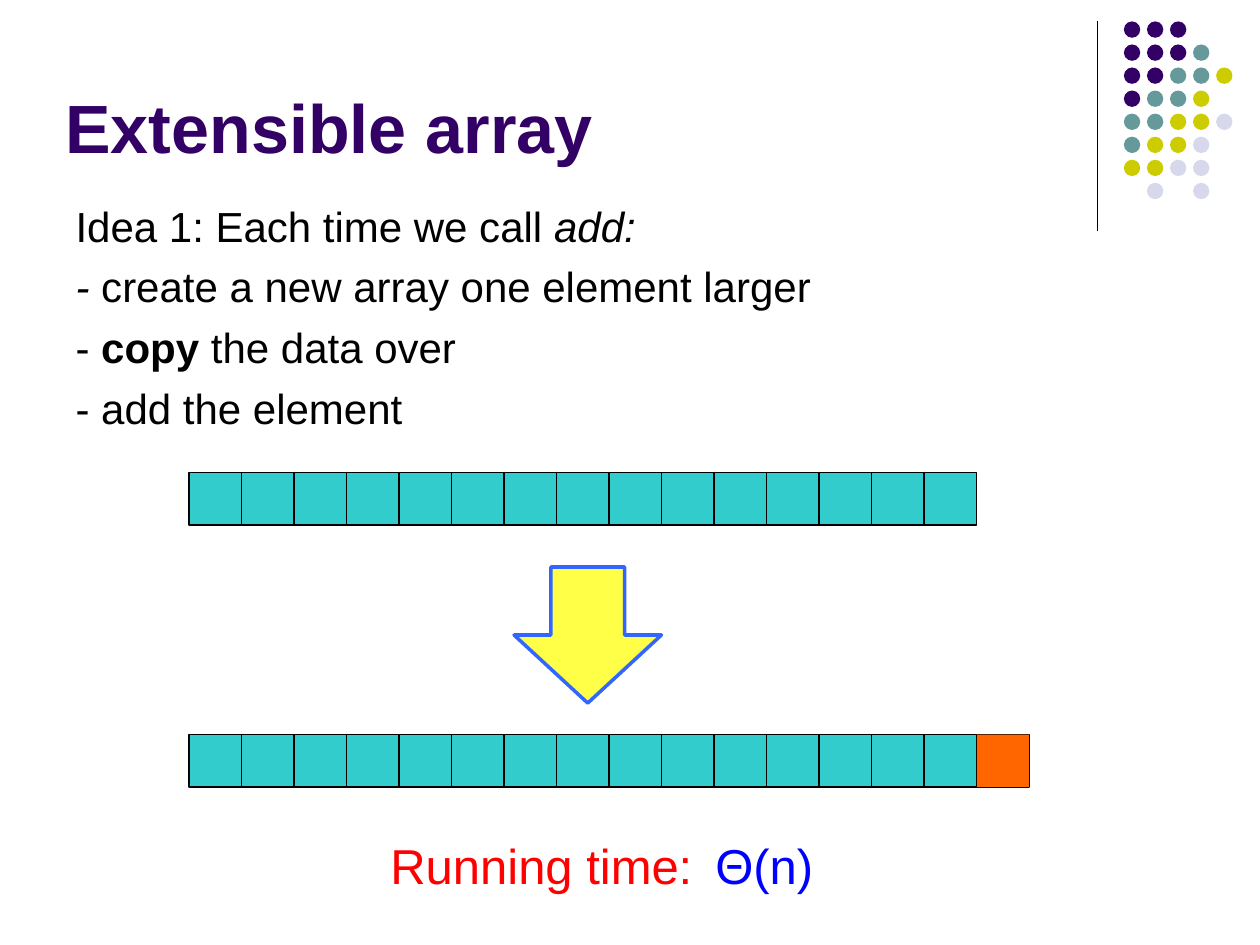
from lxml import etree
from pptx import Presentation
from pptx.dml.color import RGBColor
from pptx.enum.shapes import MSO_CONNECTOR, MSO_SHAPE
from pptx.enum.text import MSO_ANCHOR, MSO_AUTO_SIZE, PP_ALIGN
from pptx.oxml.ns import qn
from pptx.util import Inches, Pt

RECTANGLE, OVAL, DOWN_ARROW = MSO_SHAPE.RECTANGLE, MSO_SHAPE.OVAL, MSO_SHAPE.DOWN_ARROW
STRAIGHT = MSO_CONNECTOR.STRAIGHT
TOP, BOTTOM = MSO_ANCHOR.TOP, MSO_ANCHOR.BOTTOM
NO_FIT, GROW = MSO_AUTO_SIZE.NONE, MSO_AUTO_SIZE.SHAPE_TO_FIT_TEXT
LEFT = PP_ALIGN.LEFT

PURPLE, TEAL, OLIVE, LAVENDER = "330066", "669999", "CCCC00", "D8D8EC"
BLACK, CYAN, ORANGE = "000000", "33CCCC", "FF6600"
CELL = 5 / 12  # side of one array cell


def color(value):
    return RGBColor.from_string(value)


class SlideBuilder:
    font_name = "Arial"
    line_width = 0.75

    def __init__(self, slide):
        self.slide = slide

    def shape(self, kind, left, top, width, height, fill, line=None, line_width=line_width):
        shape = self.slide.shapes.add_shape(
            kind, Inches(left), Inches(top), Inches(width), Inches(height))
        shape.shadow.inherit = False
        shape.fill.solid()
        shape.fill.fore_color.rgb = color(fill)
        if line:
            shape.line.color.rgb = color(line)
            shape.line.width = Pt(line_width)
        else:
            shape.line.fill.background()

    def vertical_line(self, left, top, height):
        line = self.slide.shapes.add_connector(
            STRAIGHT, Inches(left), Inches(top), Inches(left), Inches(top + height))
        line.line.color.rgb = color(BLACK)
        line.line.width = Pt(self.line_width)
        etree.SubElement(line._element.spPr, qn("a:effectLst"))

    def array(self, left, top, cells, extra=0):
        """Draw a row of cells; the extra cells at its end are highlighted."""
        total = cells + extra
        self.shape(RECTANGLE, left, top, total * CELL, CELL, CYAN, BLACK)
        if extra:
            self.shape(RECTANGLE, left + cells * CELL, top, extra * CELL, CELL, ORANGE)
        for index in range(1, total):
            self.vertical_line(left + index * CELL, top, CELL)

    def dots(self, left, top, pitch, size, rows):
        fills = {"P": PURPLE, "T": TEAL, "O": OLIVE, "L": LAVENDER}
        for row, letters in enumerate(rows):
            for column, letter in enumerate(letters):
                if letter in fills:
                    self.shape(OVAL, left + column * pitch, top + row * pitch,
                               size, size, fills[letter])

    def place(self, shape, left, top, width, height, anchor, auto_size):
        shape.left, shape.top = Inches(left), Inches(top)
        shape.width, shape.height = Inches(width), Inches(height)
        frame = shape.text_frame
        frame.word_wrap = True
        frame.auto_size = auto_size
        frame.vertical_anchor = anchor
        return frame

    def add_runs(self, paragraph, runs, size, fill, bold=False):
        """Each run is a text and its style: "b" bold, "i" italic or ""."""
        paragraph.alignment = LEFT
        for text, style in runs:
            run = paragraph.add_run()
            run.text = text
            run.font.name = self.font_name
            run.font.size = Pt(size)
            run.font.color.rgb = color(fill)
            run.font.bold = bold or style == "b"
            run.font.italic = style == "i"

    def title(self, text, left, top, width, height):
        frame = self.place(self.slide.shapes.title, left, top, width, height, BOTTOM, NO_FIT)
        self.add_runs(frame.paragraphs[0], [(text, "")], 39, PURPLE, bold=True)

    def body(self, paragraphs, left, top, width, height):
        frame = self.place(self.slide.placeholders[1], left, top, width, height, TOP, NO_FIT)
        frame.margin_top = Inches(0.08)
        for index, runs in enumerate(paragraphs):
            paragraph = frame.add_paragraph() if index else frame.paragraphs[0]
            properties = paragraph._p.get_or_add_pPr()
            properties.set("marL", "0")
            properties.set("indent", "0")
            etree.SubElement(properties, qn("a:buNone"))
            paragraph.space_before = Pt(5.8 if index else 0)
            self.add_runs(paragraph, runs, 24, BLACK)

    def label(self, text, left, top, width, height, fill):
        box = self.slide.shapes.add_textbox(0, 0, 0, 0)
        frame = self.place(box, left, top, width, height, TOP, GROW)
        self.add_runs(frame.paragraphs[0], [(text, "")], 28, fill)


def main():
    presentation = Presentation()
    presentation.slide_width, presentation.slide_height = Inches(10), Inches(7.5)
    builder = SlideBuilder(presentation.slides.add_slide(presentation.slide_layouts[1]))

    # Corner decoration
    builder.vertical_line(8.71, 0.17, 1.66)
    builder.dots(8.92, 0.17, 0.183, 0.13, [
        "PPP", "PPPT", "PPTTO", "PTTO", "TTOOL", "TOOL", "OOLL", " L L"])

    # Title and idea
    builder.title("Extensible array", 0.42, -0.04, 8.25, 1.42)
    builder.body([
        [("Idea 1: Each time we call ", ""), ("add:", "i")],
        [("- ", "i"), ("create a new array one element larger", "")],
        [("- ", ""), ("copy", "b"), (" the data over", "")],
        [("- add the element", "")],
    ], 0.5, 1.51, 9, 2.07)

    # Array before and after the call
    builder.array(1.5, 3.75, 15)
    builder.shape(DOWN_ARROW, 4.08, 4.5, 1.17, 1.08, "FFFF47", "3366FF", 2)
    builder.array(1.5, 5.83, 15, extra=1)

    # Running time
    builder.label("Running time:", 3, 6.58, 2.67, 0.57, "FF0000")
    builder.label("Θ(n)", 5.58, 6.58, 1, 0.57, "0000FF")

    presentation.save("out.pptx")


if __name__ == "__main__":
    main()
